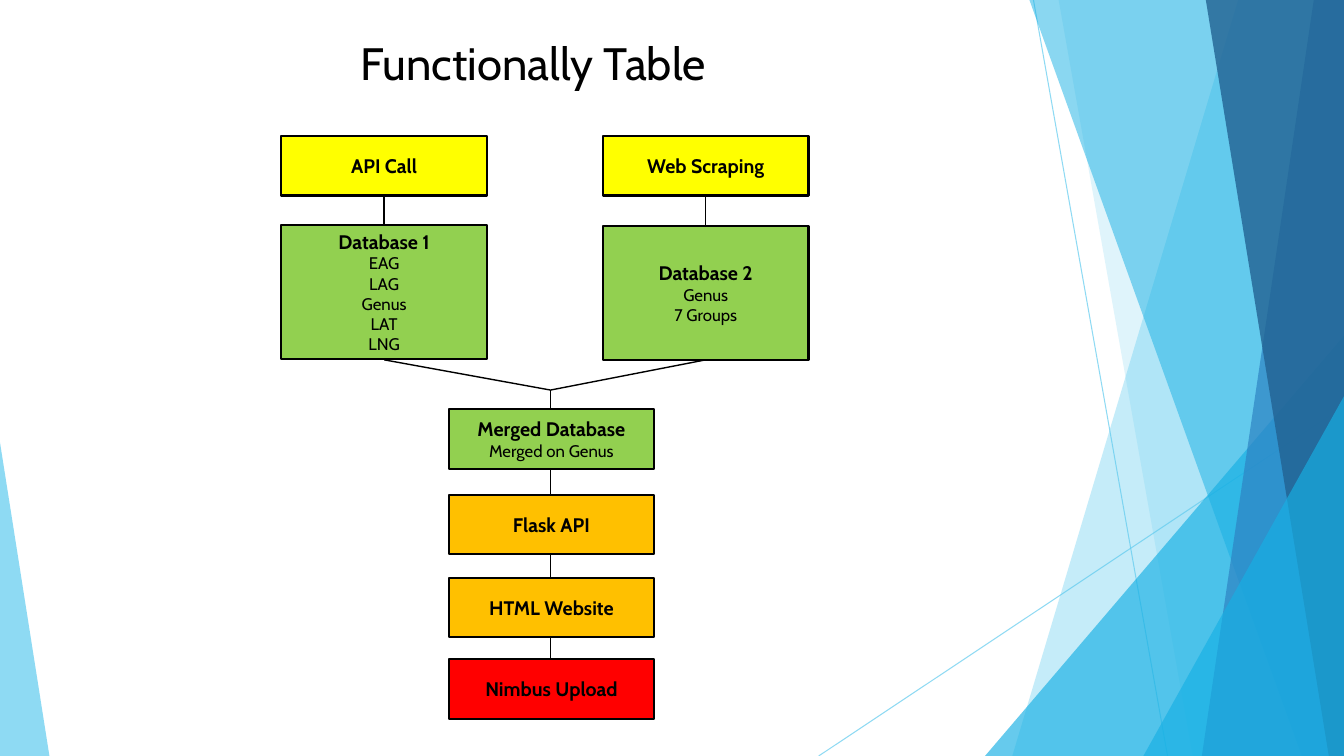
from dataclasses import dataclass

from lxml.etree import SubElement
from pptx import Presentation
from pptx.dml.color import RGBColor
from pptx.enum.shapes import MSO_CONNECTOR, MSO_SHAPE
from pptx.enum.text import MSO_ANCHOR, PP_ALIGN
from pptx.oxml.ns import qn
from pptx.util import Inches, Pt

SLIDE_WIDTH, SLIDE_HEIGHT = 13.33, 7.5
FONT = "Cabin"
BLACK, SKY, CYAN = "000000", "5FCBEF", "17B0E4"
YELLOW, GREEN, ORANGE, RED = "FFFF00", "92D050", "FFC000", "FF0000"
BOX_WIDTH, STEP_HEIGHT, DATABASE_HEIGHT = 2.04, 0.59, 1.33
LEFT_COLUMN, RIGHT_COLUMN, MIDDLE_COLUMN = 2.79, 5.98, 4.45
LEFT_AXIS, RIGHT_AXIS, MIDDLE_AXIS = 3.81, 7.0, 5.46
JUNCTION = 3.87


@dataclass
class Facet:
    top_left: float
    bottom_left: float
    color: str
    opacity: int


@dataclass
class Triangle:
    left: float
    top: float
    width: float
    apex: float
    color: str
    opacity: int


@dataclass
class Box:
    left: float
    top: float
    height: float
    color: str
    heading: str
    details: tuple[str, ...] = ()


@dataclass
class Line:
    start: tuple[float, float]
    end: tuple[float, float]
    color: str = BLACK
    width: float = 1
    opacity: int = 100


DECORATION_LINES = [
    Line((10.25, 0), (11.58, SLIDE_HEIGHT), SKY, 0.75, 70),
    Line((SLIDE_WIDTH, 4.03), (8.12, SLIDE_HEIGHT), SKY, 0.75, 70),
]
DECORATIONS = [
    Facet(12.28, 10.04, SKY, 36),
    Facet(10.5, 11.83, SKY, 20),
    Triangle(9.77, 3.33, 3.56, 1, CYAN, 66),
    Facet(10.21, 12.91, CYAN, 50),
    Facet(13.03, 11.92, "2E83C3", 70),
    Facet(11.96, 13.18, "226292", 80),
    Triangle(11.34, 3.93, 1.99, 1, CYAN, 66),
    Triangle(0, 4.39, 0.49, 0, SKY, 70),
]
PIPELINE = [
    Box(MIDDLE_COLUMN, 4.06, STEP_HEIGHT, GREEN, "Merged Database", ("Merged on Genus",)),
    Box(MIDDLE_COLUMN, 4.91, STEP_HEIGHT, ORANGE, "Flask API"),
    Box(MIDDLE_COLUMN, 5.73, STEP_HEIGHT, ORANGE, "HTML Website"),
    Box(MIDDLE_COLUMN, 6.54, STEP_HEIGHT, RED, "Nimbus Upload"),
]
SOURCES = [
    Box(LEFT_COLUMN, 1.35, STEP_HEIGHT, YELLOW, "API Call"),
    Box(RIGHT_COLUMN, 1.35, STEP_HEIGHT, YELLOW, "Web Scraping"),
    Box(LEFT_COLUMN, 2.23, DATABASE_HEIGHT, GREEN, "Database 1",
        ("EAG", "LAG", "Genus", "LAT", "LNG")),
    Box(RIGHT_COLUMN, 2.24, DATABASE_HEIGHT, GREEN, "Database 2",
        ("Genus", "7 Groups")),
]
SOURCE_LINES = [
    Line((LEFT_AXIS, 1.94), (LEFT_AXIS, 2.23)),
    Line((RIGHT_AXIS, 1.94), (RIGHT_AXIS, 2.24)),
    Line((LEFT_AXIS, 3.57), (MIDDLE_AXIS, JUNCTION)),
    Line((RIGHT_AXIS, 3.57), (MIDDLE_AXIS, JUNCTION)),
]


def apply_color(color_format, color: str, opacity: int = 100) -> None:
    color_format.rgb = RGBColor.from_string(color)
    if opacity < 100:
        fill = color_format._xFill
        SubElement(fill.find(qn("a:srgbClr")), qn("a:alpha"), val=str(opacity * 1000))


def paint(shape, color: str, opacity: int = 100) -> None:
    shape.shadow.inherit = False
    shape.fill.solid()
    apply_color(shape.fill.fore_color, color, opacity)


def format_paragraph(paragraph, size: float, bold: bool = False) -> None:
    paragraph.alignment = PP_ALIGN.CENTER
    for run in paragraph.runs:
        run.font.name = FONT
        run.font.size = Pt(size)
        run.font.bold = bold
        apply_color(run.font.color, BLACK)


def draw_line(slide, line: Line) -> None:
    connector = slide.shapes.add_connector(
        MSO_CONNECTOR.STRAIGHT, *map(Inches, line.start + line.end))
    connector.line.width = Pt(line.width)
    connector.line.fill.solid()
    apply_color(connector.line.fill.fore_color, line.color, line.opacity)
    SubElement(connector._element.spPr, qn("a:effectLst"))


def draw_decoration(slide, decoration: Facet | Triangle) -> None:
    if isinstance(decoration, Facet):
        builder = slide.shapes.build_freeform(Inches(decoration.top_left), 0)
        corners = [(SLIDE_WIDTH, 0), (SLIDE_WIDTH, SLIDE_HEIGHT),
                   (decoration.bottom_left, SLIDE_HEIGHT)]
        builder.add_line_segments([(Inches(x), Inches(y)) for x, y in corners])
        shape = builder.convert_to_shape()
    else:
        shape = slide.shapes.add_shape(
            MSO_SHAPE.ISOSCELES_TRIANGLE, Inches(decoration.left), Inches(decoration.top),
            Inches(decoration.width), Inches(SLIDE_HEIGHT - decoration.top))
        shape.adjustments[0] = decoration.apex
    paint(shape, decoration.color, decoration.opacity)
    shape.line.fill.background()


def draw_box(slide, box: Box) -> None:
    shape = slide.shapes.add_shape(
        MSO_SHAPE.RECTANGLE, Inches(box.left), Inches(box.top),
        Inches(BOX_WIDTH), Inches(box.height))
    paint(shape, box.color)
    shape.line.width = Pt(1.5)
    shape.line.fill.solid()
    apply_color(shape.line.fill.fore_color, BLACK)
    text_frame = shape.text_frame
    text_frame.vertical_anchor = MSO_ANCHOR.MIDDLE
    text_frame.text = "\n".join((box.heading, *box.details))
    heading, *details = text_frame.paragraphs
    format_paragraph(heading, 14, bold=True)
    for paragraph in details:
        format_paragraph(paragraph, 12)


def draw_title(slide, title: str) -> None:
    shape = slide.shapes.add_textbox(Inches(0.59), Inches(0.3), Inches(9.4), Inches(0.59))
    shape.text_frame.word_wrap = True
    shape.text_frame.text = title
    format_paragraph(shape.text_frame.paragraphs[0], 32.4)


def main() -> None:
    presentation = Presentation()
    presentation.slide_width = Inches(SLIDE_WIDTH)
    presentation.slide_height = Inches(SLIDE_HEIGHT)
    slide = presentation.slides.add_slide(presentation.slide_layouts[6])
    for line in DECORATION_LINES:
        draw_line(slide, line)
    for decoration in DECORATIONS:
        draw_decoration(slide, decoration)
    draw_title(slide, "Functionally Table")
    for box in SOURCES + PIPELINE:
        draw_box(slide, box)
    for line in SOURCE_LINES:
        draw_line(slide, line)
    bottom = JUNCTION
    for box in PIPELINE:
        draw_line(slide, Line((MIDDLE_AXIS, bottom), (MIDDLE_AXIS, box.top)))
        bottom = box.top + box.height
    presentation.save("out.pptx")


if __name__ == "__main__":
    main()
